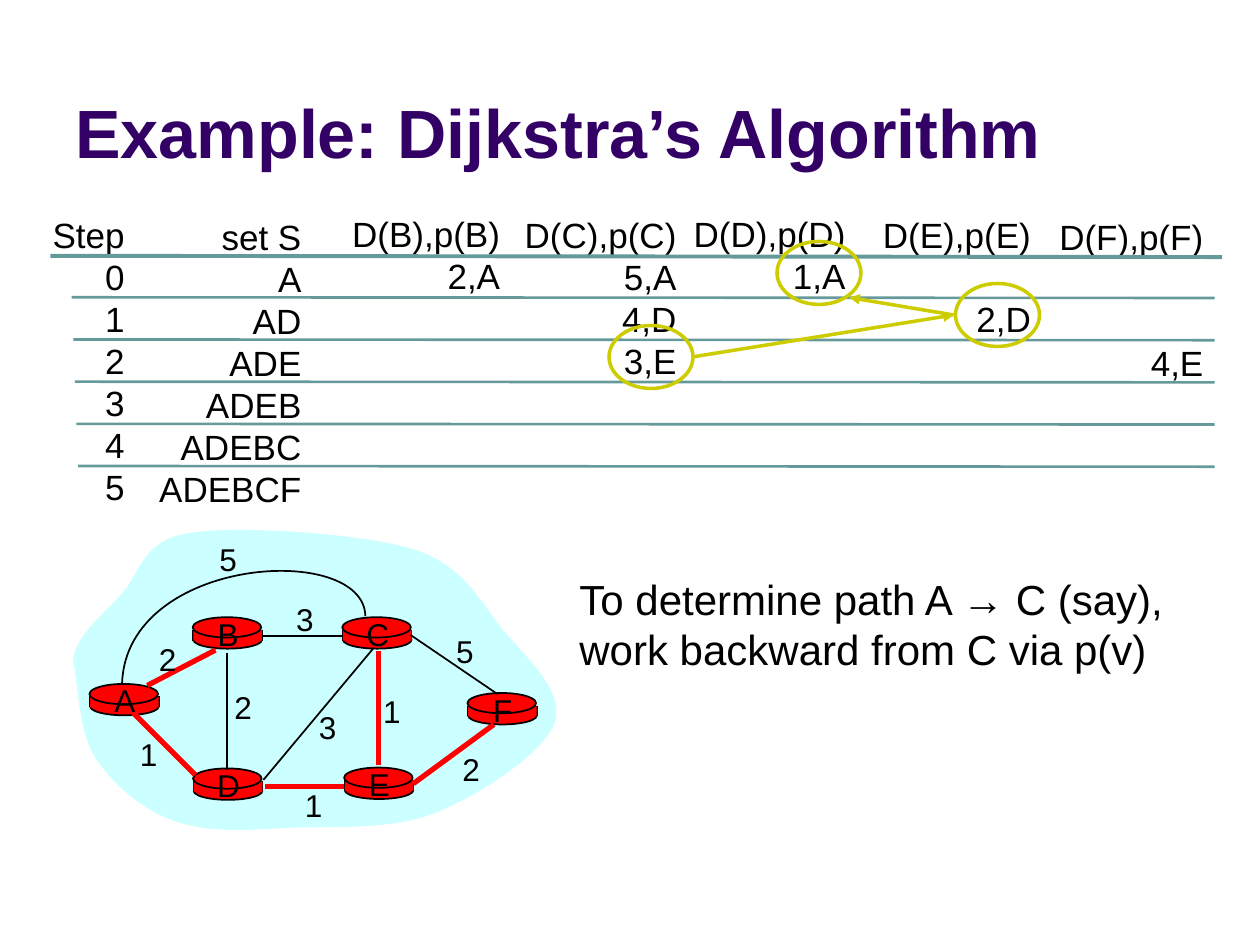
from dataclasses import dataclass
from pptx import Presentation
from pptx.dml.color import RGBColor as RGB
from pptx.enum.shapes import MSO_CONNECTOR as Link, MSO_SHAPE as Preset
from pptx.enum.text import MSO_ANCHOR as Anchor, PP_ALIGN as Align
from pptx.oxml.ns import qn
from pptx.util import Pt
from lxml.etree import SubElement


@dataclass(frozen=True)
class Theme:
    """Colours, font and type sizes of the slide."""
    font: str = "Arial"
    ink: RGB = RGB(0x00, 0x00, 0x00)
    title: RGB = RGB(0x33, 0x00, 0x66)
    rule: RGB = RGB(0x66, 0x99, 0x99)
    cloud: RGB = RGB(0xCC, 0xFF, 0xFF)
    router: RGB = RGB(0xFF, 0x00, 0x00)
    trace: RGB = RGB(0xCC, 0xCC, 0x00)
    title_size: float = 39
    note_size: float = 24
    column_size: float = 20
    label_size: float = 18
    leading: float = 1.2


THEME = Theme()

COLUMNS = [
    (23, 118.4, 55.4, ["Step", "0", "1", "2", "3", "4", "5"]),
    (80.8, 119.5, 98.6, ["set S", "A", "AD", "ADE", "ADEB", "ADEBC", "ADEBCF"]),
    (193.5, 118.1, 99.4, ["D(B),p(B)", "2,A"]),
    (292.2, 118.4, 101.5, ["D(C),p(C)", "5,A", "4,D", "3,E"]),
    (389.5, 118.1, 100.8, ["D(D),p(D)", "1,A"]),
    (496.8, 118.4, 99.4, ["D(E),p(E)", "", "2,D"]),
    (598.3, 119.5, 96.5, ["D(F),p(F)", "", "", "4,E"]),
]

ROUTERS = {
    "A": (51.1, 390.8), "D": (110.3, 439.1), "B": (110.1, 352.7),
    "C": (195.6, 352.7), "E": (196.6, 438.6), "F": (267.1, 396),
}

EDGES = [
    ((129.6, 373), (129.6, 440)),
    ((150.5, 445.7), (213.1, 370.8)),
    ((111.6, 442.1), (77, 409)),
    ((195.8, 363.6), (150.5, 363.6)),
    ((284.4, 396.7), (234.7, 362.9)),
]
EDGE_UNDER_ROUTERS = ((84.2, 391.7), (126.7, 368.6))
TREE_EDGES = [
    ((216.4, 372.2), (216.4, 437)),
    ((236.2, 447.8), (282.2, 414)),
    ((196.6, 449.3), (151.2, 449.3)),
    ((76.3, 407.5), (111.6, 442.8)),
    ((84.2, 391.7), (123.1, 371.5)),
]
COSTS = [
    ("2", 83.5, 362.2), ("2", 126.7, 389.5), ("1", 72.7, 416.2), ("3", 175, 401),
    ("1", 167, 445.7), ("1", 211.7, 391.7), ("2", 257, 424.8), ("5", 253.4, 357.8),
    ("3", 162, 339.1), ("5", 118.1, 305.3),
]

CLOUD = [
    (41.8, 378), (42.5, 363.6), (58.3, 352.1), (69.1, 339.8),
    (80.6, 327.6), (80.6, 308.9), (108, 304.6),
    (136.1, 300.2), (205.9, 304.6), (236.2, 313.9),
    (265.7, 323.3), (274.3, 344.2), (288, 360.7),
    (301.7, 376.6), (323.3, 396), (316.8, 413.3),
    (310.3, 430.6), (274.3, 454.3), (249.1, 464.4),
    (223.9, 474.5), (190.8, 472.3), (166.3, 473),
    (141.1, 474.5), (118.8, 475.9), (100.1, 469.4),
    (81.4, 463), (64.8, 448.6), (54.7, 433.4),
    (44.6, 418.3), (44.6, 389.5), (41.8, 378),
]
ARC_A_TO_C = [(208.8, 352.1), (208.1, 309.6), (72.7, 317.5), (69.8, 390.2)]


def add_text(shapes, box, rows, size, align=Align.LEFT, color=THEME.ink,
             bold=False, wrap=False, anchor=Anchor.TOP):
    """Add a text box with one paragraph per row; empty rows become spacing."""
    frame = shapes.add_textbox(*map(Pt, box)).text_frame
    frame.word_wrap, frame.vertical_anchor = wrap, anchor
    if align == Align.RIGHT:
        frame.margin_left = 0
    frame.text = "\n".join(row for row in rows if row)
    pitch = size * THEME.leading
    for paragraph in frame.paragraphs:
        paragraph.alignment = align
        paragraph.line_spacing = Pt(pitch)
        font = paragraph.runs[0].font
        font.name, font.size, font.bold = THEME.font, Pt(size), bold
        font.color.rgb = color
    skipped = rows.count("")
    if skipped:
        frame.paragraphs[-1].space_before = Pt(skipped * pitch)


def add_line(shapes, start, end, color, width, arrow=False):
    """Add a straight line, with an arrowhead at its end if asked."""
    line = shapes.add_connector(Link.STRAIGHT, *map(Pt, (*start, *end)))
    line.line.color.rgb, line.line.width = color, Pt(width)
    if arrow:
        SubElement(line.line._get_or_add_ln(), qn("a:tailEnd"), type="triangle")
    SubElement(line._element.spPr, qn("a:effectLst"))


def paint(shape, fill=None, line=None, width=1):
    """Give a shape its fill and outline, or none, and no shadow."""
    shape.shadow.inherit = False
    if fill is None:
        shape.fill.background()
    else:
        shape.fill.solid()
        shape.fill.fore_color.rgb = fill
    if line is None:
        shape.line.fill.background()
    else:
        shape.line.color.rgb, shape.line.width = line, Pt(width)


def add_preset(shapes, preset, box, fill=None, line=None, width=1):
    """Add a painted preset shape."""
    paint(shapes.add_shape(preset, *map(Pt, box)), fill, line, width)


def add_curve(shapes, knots, closed, fill=None, line=None):
    """Add an outline whose knots, three by three, form cubic Bézier segments."""
    builder = shapes.build_freeform(*map(Pt, knots[0]))
    builder.add_line_segments([tuple(map(Pt, knot)) for knot in knots[1:]], close=closed)
    outline = builder.convert_to_shape()
    segments = list(outline._element.iter(qn("a:lnTo")))
    for first in range(0, len(knots) - 1, 3):
        curve, *rest = segments[first:first + 3]
        curve.tag = qn("a:cubicBezTo")
        for segment in rest:
            curve.append(segment[0])
            segment.getparent().remove(segment)
    paint(outline, fill, line)


def add_router(shapes, left, top):
    """Add a flat drum: base, sides, body and lid."""
    width, side_top, side_height = 39.2, top + 7.2, 6.2
    inner = left + 0.4
    add_preset(shapes, Preset.OVAL, (inner, top + 7.9, width, 10.1), THEME.router, THEME.ink)
    for x in (inner, inner + width):
        add_line(shapes, (x, side_top), (x, side_top + side_height), THEME.ink, 1)
    add_preset(shapes, Preset.RECTANGLE, (inner, side_top, width, side_height), THEME.router)
    add_preset(shapes, Preset.OVAL, (left, top, width, 11.6), THEME.router, THEME.ink)


def add_table_area(shapes):
    """Add the columns of the step table and the rules between its rows."""
    for left, top, width, rows in COLUMNS:
        height = 7.2 + 24 * len(rows)
        add_text(shapes, (left, top, width, height), rows, THEME.column_size, Align.RIGHT)
    add_line(shapes, (28.8, 146.2), (698.4, 146.9), THEME.rule, 2.25)
    for row in range(5):
        y = 169.9 + 24.1 * row
        add_line(shapes, (41 + 0.9 * row, y), (694.1, y + 0.4), THEME.rule, 1.5)


def add_network(shapes):
    """Add the cloud with its routers, edges and costs."""
    add_curve(shapes, CLOUD, True, fill=THEME.cloud)
    add_line(shapes, *EDGE_UNDER_ROUTERS, THEME.ink, 1)
    for left, top in ROUTERS.values():
        add_router(shapes, left, top)
    for start, end in EDGES:
        add_line(shapes, start, end, THEME.ink, 1)
    add_curve(shapes, ARC_A_TO_C, False, line=THEME.ink)
    for start, end in TREE_EDGES:
        add_line(shapes, start, end, THEME.router, 3)
    names = [(name, left + 6.7, top - 4.9, 27) for name, (left, top) in ROUTERS.items()]
    costs = [(cost, left, top, 24.5) for cost, left, top in COSTS]
    for label, left, top, width in names + costs:
        add_text(shapes, (left, top, width, 28.8), [label], THEME.label_size, Align.CENTER)


def add_backtrace(shapes):
    """Add the rings round the visited entries and the arrows between them."""
    for left, top in ((348, 186), (546, 162), (444, 138)):
        add_preset(shapes, Preset.OVAL, (left, top, 48, 36), line=THEME.trace, width=2)
    stops = [(396.7, 203.8), (545, 180), (485.3, 170)]
    for start, end in zip(stops, stops[1:]):
        add_line(shapes, start, end, THEME.trace, 2, arrow=True)


def main():
    """Build the slide and save it."""
    deck = Presentation()
    deck.slide_width, deck.slide_height = Pt(720), Pt(540)
    shapes = deck.slides.add_slide(deck.slide_layouts[6]).shapes
    add_text(shapes, (36, 9.8, 648, 92.2), ["Example: Dijkstra’s Algorithm"], THEME.title_size,
             color=THEME.title, bold=True, wrap=True, anchor=Anchor.BOTTOM)
    add_table_area(shapes)
    add_network(shapes.add_group_shape().shapes)
    add_text(shapes, (324, 324, 365.8, 64.8),
             ["To determine path A → C (say), work backward from C via p(v)"],
             THEME.note_size, wrap=True, anchor=Anchor.MIDDLE)
    add_backtrace(shapes)
    deck.save("out.pptx")


if __name__ == "__main__":
    main()
